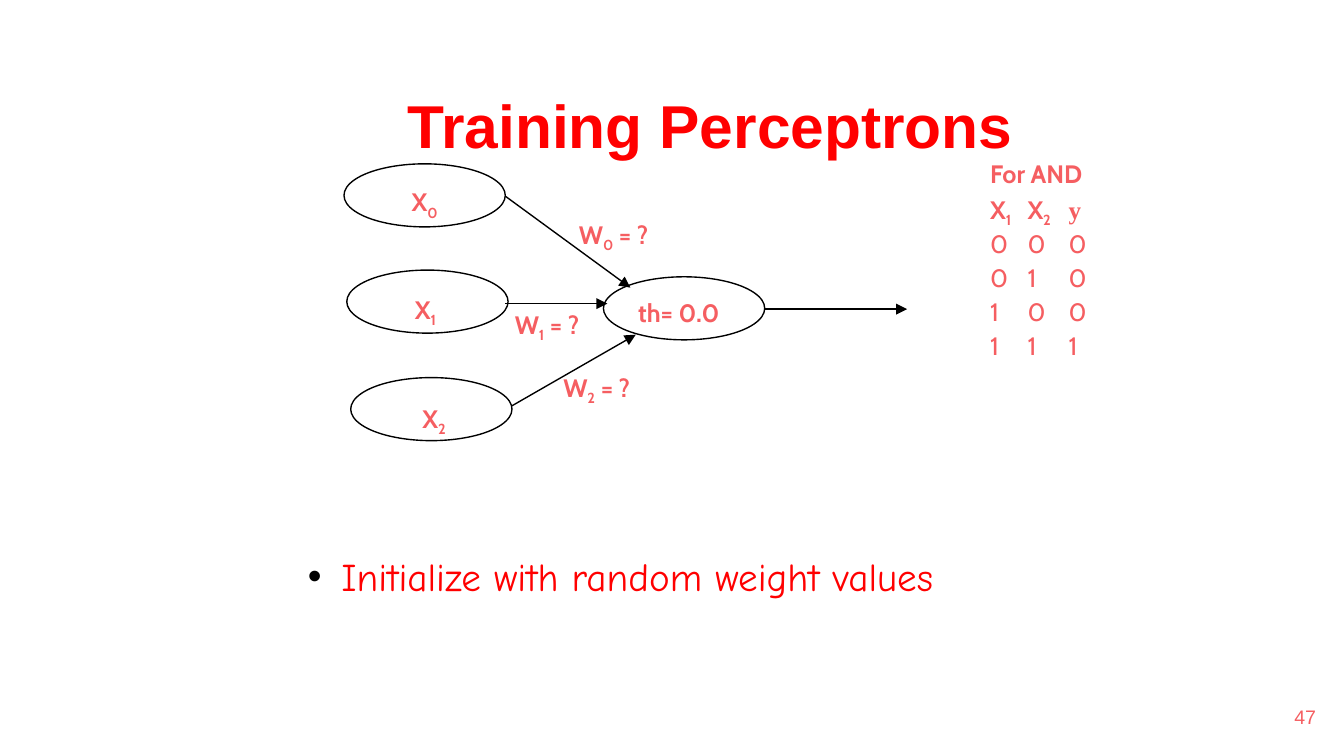
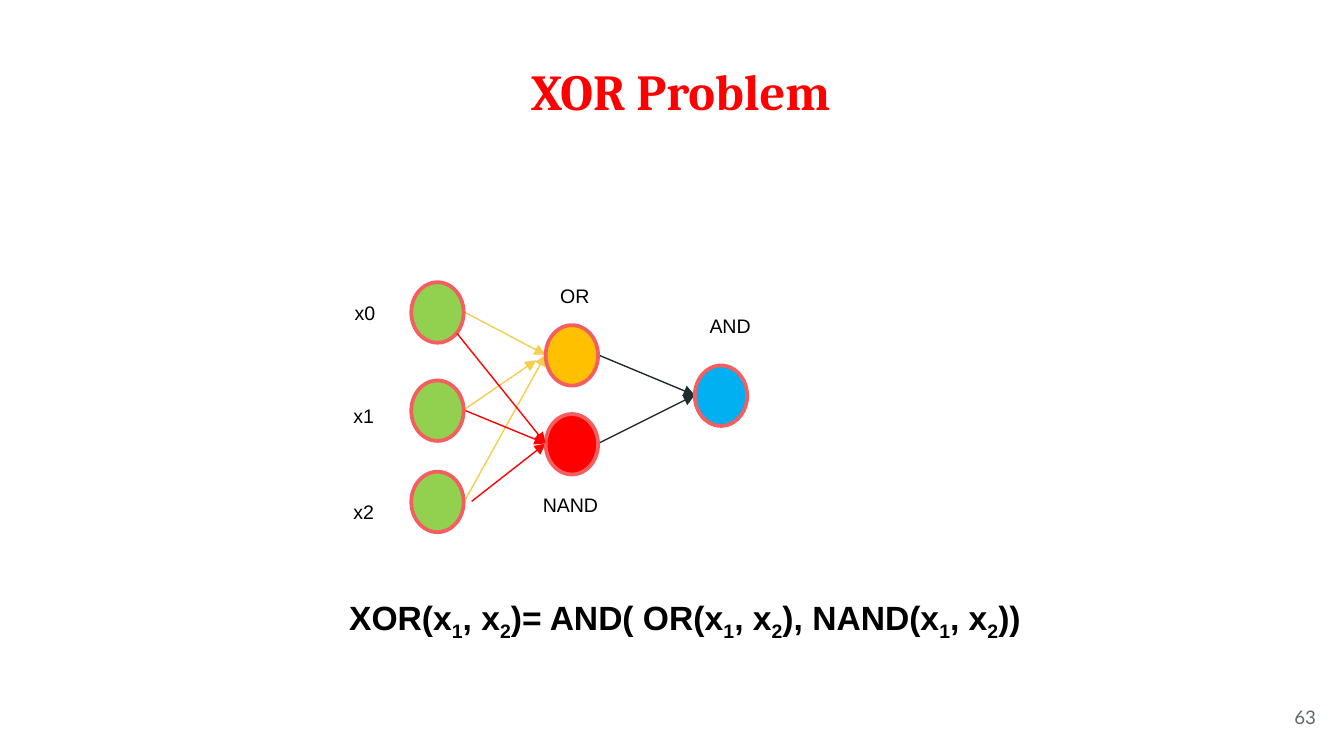
from pptx import Presentation
from pptx import util as u
from pptx.dml.color import RGBColor
from pptx.enum import shapes, text
from pptx.oxml.ns import qn
from lxml import etree

Pt = u.Pt
RED, BLACK, WHITE, CORAL = "FF0000", "000000", "FFFFFF", "F55E61"
YELLOW, DARK, GREY = "F6CD4C", "1D2C30", "5E696C"
GREEN, AMBER, BLUE = "92D050", "FFC000", "00B0F0"
LEFT, CENTER, RIGHT = text.PP_ALIGN.LEFT, text.PP_ALIGN.CENTER, text.PP_ALIGN.RIGHT
TOP, MIDDLE = text.MSO_ANCHOR.TOP, text.MSO_ANCHOR.MIDDLE
NEURON = (86.4, 33.8)
NODE = (28.1, 32.4)


def rgb(value):
    return RGBColor.from_string(value)


def place(shape, at):
    shape.left, shape.top, shape.width, shape.height = map(Pt, at)


def write(shape, lines, size, font, color, bold=False, align=LEFT, anchor=TOP,
          inset=3.6, wrap=True, spacing=1.0, before=0, bullet=None, tabs=()):
    """Fill a shape with paragraphs; text between bars is subscript."""
    frame = shape.text_frame
    frame.word_wrap = wrap
    frame.auto_size = text.MSO_AUTO_SIZE.NONE
    frame.vertical_anchor = anchor
    frame.margin_left = frame.margin_right = Pt(7.2)
    frame.margin_top = frame.margin_bottom = Pt(inset)
    for row, line in enumerate(lines):
        para = frame.paragraphs[0] if row == 0 else frame.add_paragraph()
        para.alignment = align
        para.line_spacing = spacing
        para.space_before = Pt(before if row else 0)
        para.space_after = Pt(0)
        if bullet:
            add_bullet(para, bullet)
        if tabs:
            add_tabs(para, tabs)
        for index, piece in enumerate(line.split("|")):
            if not piece:
                continue
            span = para.add_run()
            span.text = piece
            span.font.size = Pt(size)
            span.font.name = font
            span.font.bold = bold
            span.font.color.rgb = rgb(color)
            if index % 2:
                span.font._element.set("baseline", "-25000")
    return frame


def add_bullet(para, char):
    props = para._p.get_or_add_pPr()
    props.set("marL", str(Pt(18)))
    props.set("indent", str(-Pt(18)))
    color = etree.SubElement(props, qn("a:buClr"))
    etree.SubElement(color, qn("a:srgbClr"), val=BLACK)
    etree.SubElement(props, qn("a:buFont"), typeface="Arial")
    etree.SubElement(props, qn("a:buChar"), char=char)


def add_tabs(para, stops):
    tab_list = etree.SubElement(para._p.get_or_add_pPr(), qn("a:tabLst"))
    for stop in stops:
        etree.SubElement(tab_list, qn("a:tab"), pos=str(Pt(stop)), algn="l")


def add_text(page, at, lines, size, font, color, **style):
    box = page.shapes.add_textbox(*map(Pt, at))
    return write(box, lines, size, font, color, **style)


def add_title(page, at, title, size, font):
    place(page.shapes.title, at)
    write(page.shapes.title, [title], size, font, RED, bold=True, align=CENTER,
          inset=7.2, spacing=1.1)


def add_page_number(page, number, size, font, color):
    add_text(page, (668.9, 368.6, 43.2, 31), [number], size, font, color,
             align=RIGHT, anchor=MIDDLE, inset=7.2)


def add_ellipse(page, corner, size, fill, line, weight):
    oval = page.shapes.add_shape(shapes.MSO_SHAPE.OVAL, *map(Pt, corner + size))
    oval.shadow.inherit = False
    oval.fill.solid()
    oval.fill.fore_color.rgb = rgb(fill)
    oval.line.color.rgb = rgb(line)
    oval.line.width = Pt(weight)


def add_arrow(page, start, end, color):
    arrow = page.shapes.add_connector(shapes.MSO_CONNECTOR.STRAIGHT,
                                      *map(Pt, start + end))
    arrow.line.color.rgb = rgb(color)
    arrow.line.width = Pt(0.75)
    etree.SubElement(arrow.line._get_or_add_ln(), qn("a:tailEnd"), type="triangle")
    etree.SubElement(arrow._element.spPr, qn("a:effectLst"))


def build_training(deck):
    page = deck.slides.add_slide(deck.slide_layouts[1])
    add_page_number(page, "47", 10.5, "Arial", CORAL)
    add_title(page, (150.5, 36, 460.1, 48.2), "Training Perceptrons", 32.4, "Arial")
    body = page.placeholders[1]
    place(body, (157.7, 292.3, 404.6, 32.4))
    write(body, ["Initialize with random weight values"], 21, "Comic Neue", RED,
          bullet="•")

    for corner in ((323.3, 148.3), (187.9, 202.3), (185.8, 144.7), (184.3, 87.8)):
        add_ellipse(page, corner, NEURON, WHITE, BLACK, 0.75)
    for start, end in (((270.7, 105.1), (337.7, 154.1)),
                       ((270.7, 162.7), (325.4, 162.7)),
                       ((274.3, 217.4), (340.6, 179.3)),
                       ((409.7, 165.6), (486, 165.6))):
        add_arrow(page, start, end, BLACK)
    for label, at in (("th= 0.0", (326.2, 155.5, 74.9, 16.6)),
                      ("X|2|", (195.1, 212.4, 74.9, 20.2)),
                      ("X|1|", (190.8, 154.1, 74.2, 16.6)),
                      ("X|0|", (190.1, 96.5, 74.9, 16.6)),
                      ("W|0| = ?", (288, 113.8, 81.4, 20.9)),
                      ("W|2| = ?", (274.3, 195.8, 90.7, 16.6)),
                      ("W|1| = ?", (255.6, 162, 74.9, 16.6))):
        add_text(page, at, [label], 13.5, "Cabin", CORAL, bold=True, align=CENTER)

    truth = ["For AND", "X|1|\tX|2|\ty"]
    truth += [f"{a}\t{b}\t{a & b}" for a in (0, 1) for b in (0, 1)]
    frame = add_text(page, (523.4, 85.7, 76.3, 116.6), truth, 13.5, "Cabin", CORAL,
                     spacing=0.7, before=6.75, tabs=(20, 42))
    for para in frame.paragraphs[:2]:
        for span in para.runs:
            span.font.bold = True
    frame.paragraphs[1].runs[-1].font.name = "Times New Roman"


def build_xor(deck):
    page = deck.slides.add_slide(deck.slide_layouts[5])
    add_title(page, (108.7, 21.6, 511.9, 78.5), "XOR Problem", 27, "Cambria")
    add_page_number(page, "63", 10, "Lato", GREY)

    or_in, nand_in = (292.3, 190.1), (292.3, 237.6)
    x0_out, x1_out, x2_out = (248.4, 167), (248.4, 219.6), (248.4, 269.3)
    and_in, stub = (372.2, 211.7), (350.6, 202.3)
    for start, end, color in ((x0_out, or_in, YELLOW),
                              (x1_out, (287.3, 193), YELLOW),
                              (x2_out, or_in, YELLOW),
                              (x1_out, nand_in, RED),
                              ((252.7, 268.6), nand_in, RED),
                              ((320.4, 190.1), and_in, DARK),
                              ((320.4, 237.6), and_in, DARK),
                              (stub, stub, DARK)):
        add_arrow(page, start, end, color)
    for corner, fill in (((220.3, 151.2), GREEN), ((220.3, 203.8), GREEN),
                         ((220.3, 252.7), GREEN), ((292.3, 174.2), AMBER),
                         ((292.3, 221.8), RED), ((372.2, 195.8), BLUE)):
        add_ellipse(page, corner, NODE, fill, CORAL, 2)
    add_arrow(page, (244.8, 178.6), nand_in, RED)

    for label, left, top, width in (("OR", 293, 148.3, 30.2),
                                    ("NAND", 283.7, 260.6, 44.6),
                                    ("AND", 373, 164.9, 36.7),
                                    ("x0", 182.9, 157.7, 25.9),
                                    ("x1", 182.2, 213.1, 25.9),
                                    ("x2", 182.2, 264.2, 25.9)):
        add_text(page, (left, top, width, 20.2), [label], 10.5, "Arial", BLACK,
                 wrap=False)
    pair = "(x|1|, x|2|)"
    add_text(page, (180, 316.1, 379.4, 51.1),
             [f"XOR{pair}= AND( OR{pair}, NAND{pair})"], 18, "Arial", BLACK, bold=True)


def main():
    deck = Presentation()
    deck.slide_width, deck.slide_height = Pt(720), Pt(405)
    build_training(deck)
    build_xor(deck)
    deck.save("out.pptx")


if __name__ == "__main__":
    main()
